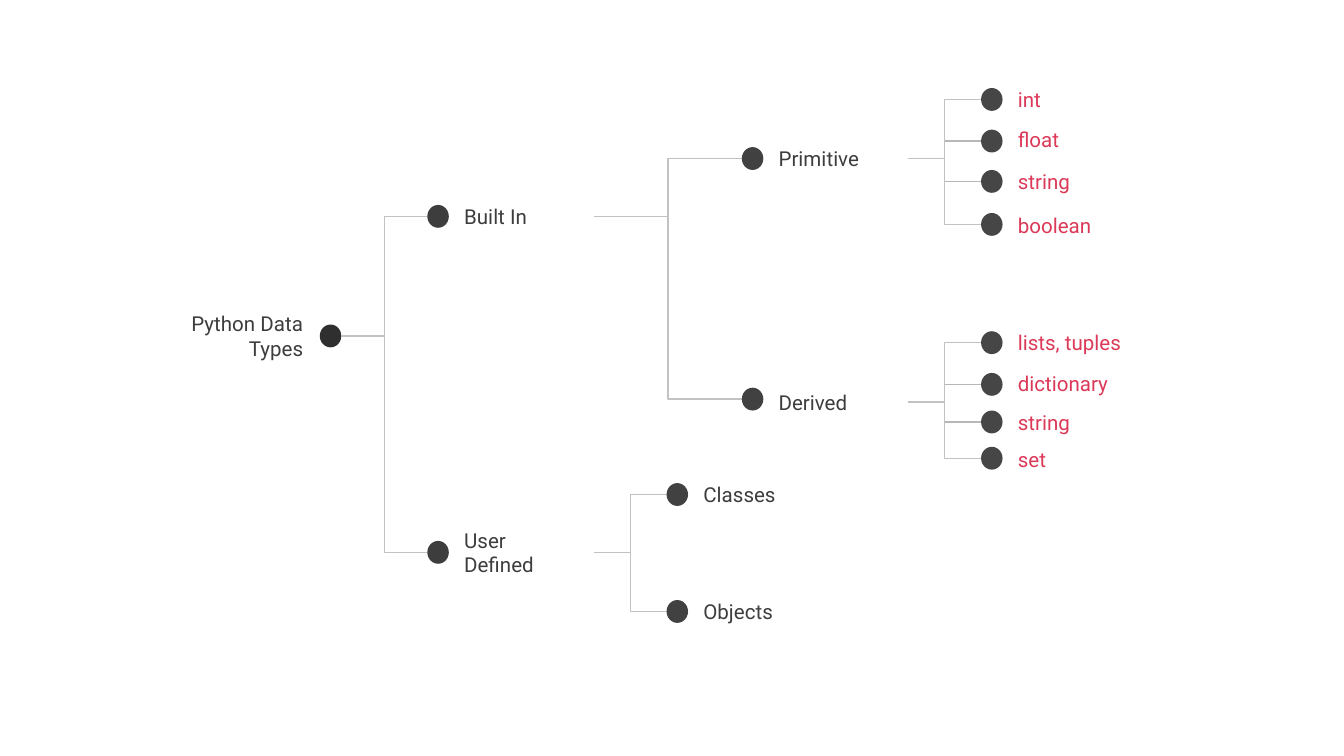
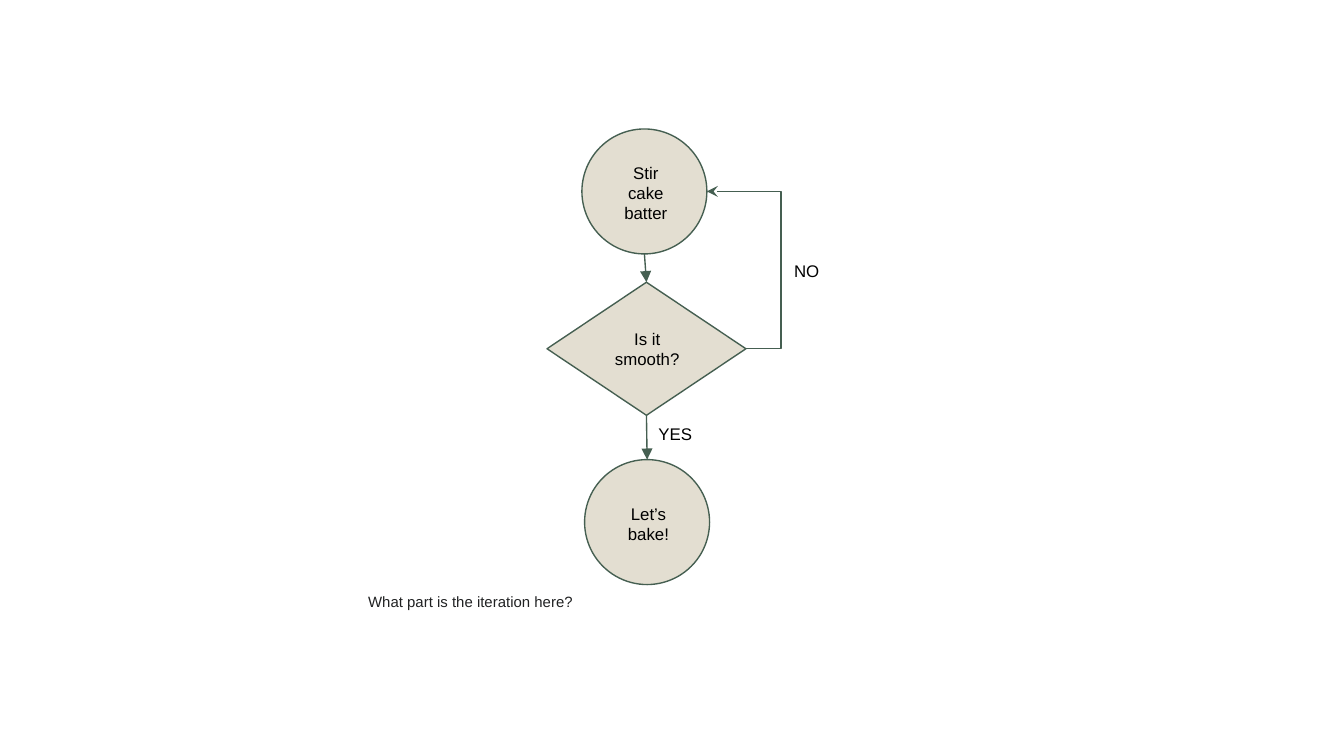
from dataclasses import dataclass, field

from lxml import etree
from pptx import Presentation
from pptx.dml.color import RGBColor
from pptx.enum.shapes import MSO_CONNECTOR, MSO_SHAPE
from pptx.enum.text import MSO_ANCHOR, PP_ALIGN
from pptx.oxml.ns import qn
from pptx.util import Inches, Pt

STRAIGHT, ELBOW = MSO_CONNECTOR.STRAIGHT, MSO_CONNECTOR.ELBOW
OVAL, DECISION = MSO_SHAPE.OVAL, MSO_SHAPE.FLOWCHART_DECISION
ROUNDED = MSO_SHAPE.ROUNDED_RECTANGLE
LEFT, CENTER, RIGHT = PP_ALIGN.LEFT, PP_ALIGN.CENTER, PP_ALIGN.RIGHT
TOP, MIDDLE = MSO_ANCHOR.TOP, MSO_ANCHOR.MIDDLE
TOP_SITE, BOTTOM_SITE = 0, 2
BLANK_LAYOUT = 6


@dataclass(frozen=True)
class Theme:
    tree_font: str = "Roboto"
    flow_font: str = "Arial"
    tree_size: float = 11
    flow_size: float = 9
    question_size: float = 8
    label: str = "3D3D3D"
    leaf_label: str = "DC3958"
    dots: tuple = ("2F2F2F", "3D3D3D", "414141", "464646")
    elbow: str = "C2C2C2"
    twig: str = "B7B7B7"
    flow_fill: str = "E3DED1"
    flow_line: str = "455F51"
    flow_text: str = "000000"
    question: str = "202122"
    line_width: float = 0.75
    inset: float = 0.1


THEME = Theme()


@dataclass
class Node:
    text: str
    x: float  # left edge of the dot
    y: float  # middle of the dot
    children: list = field(default_factory=list)
    label_drop: float = 0  # how far the label sits below the dot's middle


LEAF_X = 6.01
DATA_TYPES = Node("Python Data Types", 1.09, 1.91, [
    Node("Built In", 1.89, 1.02, [
        Node("Primitive", 4.23, 0.59, [
            Node("int", LEAF_X, 0.15),
            Node("float", LEAF_X, 0.46, label_drop=-0.01),
            Node("string", LEAF_X, 0.76),
            Node("boolean", LEAF_X, 1.08, label_drop=0.01),
        ]),
        Node("Derived", 4.23, 2.38, [
            Node("lists, tuples", LEAF_X, 1.96),
            Node("dictionary", LEAF_X, 2.27, label_drop=-0.01),
            Node("string", LEAF_X, 2.55),
            Node("set", LEAF_X, 2.82, label_drop=0.01),
        ], label_drop=0.02),
    ]),
    Node("User Defined", 1.89, 3.52, [
        Node("Classes", 3.67, 3.09),
        Node("Objects", 3.67, 3.96),
    ]),
])
DOT_WIDTH, DOT_HEIGHT = 0.16, 0.17
LABEL_WIDTH, LABEL_HEIGHT = 1.08, 0.3


# Shared parts
def write_text(shape, text, font, size, color, align=LEFT, anchor=MIDDLE):
    frame = shape.text_frame
    frame.text = text
    frame.word_wrap = True
    frame.vertical_anchor = anchor
    frame.margin_left = frame.margin_right = Inches(THEME.inset)
    frame.margin_top = frame.margin_bottom = Inches(THEME.inset)
    paragraph = frame.paragraphs[0]
    paragraph.alignment = align
    run_font = paragraph.runs[0].font
    run_font.name = font
    run_font.size = Pt(size)
    run_font.color.rgb = RGBColor.from_string(color)


def add_shape(slide, kind, left, top, width, height, fill=None, line=None):
    shape = slide.shapes.add_shape(
        kind, Inches(left), Inches(top), Inches(width), Inches(height))
    shape.shadow.inherit = False
    if fill:
        shape.fill.solid()
        shape.fill.fore_color.rgb = RGBColor.from_string(fill)
    else:
        shape.fill.background()
    if line:
        shape.line.color.rgb = RGBColor.from_string(line)
        shape.line.width = Pt(THEME.line_width)
    else:
        shape.line.fill.background()
    return shape


def add_line(slide, kind, start, end, color, arrow=None):
    connector = slide.shapes.add_connector(
        kind, *(Inches(value) for value in (*start, *end)))
    connector.line.color.rgb = RGBColor.from_string(color)
    connector.line.width = Pt(THEME.line_width)
    if arrow:
        line_xml = connector.line._get_or_add_ln()
        etree.SubElement(line_xml, qn("a:tailEnd"), type=arrow)
    etree.SubElement(connector._element.spPr, qn("a:effectLst"))
    return connector


# Tree of data types
def add_node(slide, node, left, top, level=0):
    dot_left, middle = left + node.x, top + node.y
    dot_right = dot_left + DOT_WIDTH
    label_middle = middle + node.label_drop
    is_root = level == 0
    label_left = dot_left - LABEL_WIDTH - 0.01 if is_root else dot_right

    add_shape(slide, OVAL, dot_left, middle - DOT_HEIGHT / 2,
              DOT_WIDTH, DOT_HEIGHT, fill=THEME.dots[level])
    label = add_shape(slide, ROUNDED, label_left,
                      label_middle - LABEL_HEIGHT / 2,
                      LABEL_WIDTH, LABEL_HEIGHT)
    write_text(label, node.text, THEME.tree_font, THEME.tree_size,
               THEME.leaf_label if node.x == LEAF_X else THEME.label,
               RIGHT if is_root else LEFT)

    # Outer children hang on elbows, the inner ones on straight twigs
    exit_x = dot_right if is_root else label_left + LABEL_WIDTH
    for child in node.children:
        child_end = (left + child.x, top + child.y)
        if child in (node.children[0], node.children[-1]):
            add_line(slide, ELBOW, (exit_x, label_middle), child_end,
                     THEME.elbow)
        else:
            trunk_x = (exit_x + child_end[0]) / 2
            add_line(slide, STRAIGHT, (trunk_x, child_end[1]), child_end,
                     THEME.twig)
        add_node(slide, child, left, top, level + 1)


# Flow chart of the baking loop
def add_note(slide, left, top, width, height, text, size=THEME.flow_size,
             color=THEME.flow_text, align=LEFT, anchor=MIDDLE):
    note = slide.shapes.add_textbox(
        Inches(left), Inches(top), Inches(width), Inches(height))
    write_text(note, text, THEME.flow_font, size, color, align, anchor)


def add_step(slide, kind, left, top, width, height):
    return add_shape(slide, kind, left, top, width, height,
                     THEME.flow_fill, THEME.flow_line)


def add_loop_back(slide, start, end, bend_x):
    loop = add_line(slide, ELBOW, start, end, THEME.flow_line, "stealth")
    bend = (bend_x - start[0]) / (end[0] - start[0])
    guides = loop._element.spPr.find(qn("a:prstGeom")).get_or_add_avLst()
    etree.SubElement(guides, qn("a:gd"), name="adj1",
                     fmla=f"val {round(bend * 100000)}")


def add_baking_flow(slide, left, top):
    circle, width, height = 0.93, 1.48, 0.99
    stir_left, check_top, bake_left, bake_top = 0.26, 1.14, 0.28, 2.46
    check_middle = top + check_top + height / 2

    # Steps
    add_step(slide, OVAL, left + stir_left, top, circle, circle)
    check = add_step(slide, DECISION, left, top + check_top, width, height)
    bake = add_step(slide, OVAL, left + bake_left, top + bake_top,
                    circle, circle)

    # Captions of the steps: left, top, width, text
    for caption_left, caption_top, caption_width, text in (
            (0.45, 0.2, 0.57, "Stir cake batter"),
            (0.37, 1.36, 0.75, "Is it smooth?"),
            (0.47, 2.66, 0.57, "Let’s bake!")):
        add_note(slide, left + caption_left, top + caption_top,
                 caption_width, 0.55, text, align=CENTER)

    # Arrows
    check_center = left + width / 2
    stir_center = left + stir_left + circle / 2
    stir_to_check = add_line(
        slide, STRAIGHT, (stir_center, top + circle),
        (check_center, top + check_top), THEME.flow_line, "triangle")
    stir_to_check.end_connect(check, TOP_SITE)
    check_to_bake = add_line(
        slide, STRAIGHT, (check_center, top + check_top + height),
        (left + bake_left + circle / 2, top + bake_top),
        THEME.flow_line, "triangle")
    check_to_bake.begin_connect(check, BOTTOM_SITE)
    check_to_bake.end_connect(bake, TOP_SITE)
    add_loop_back(slide, (left + width, check_middle),
                  (left + stir_left + circle, top + circle / 2), left + 1.74)

    # Answers
    add_note(slide, left + 0.73, top + 2.16, 0.75, 0.21, "YES")
    add_note(slide, left + 1.74, top + 0.78, 0.75, 0.55, "NO")


def main():
    presentation = Presentation()
    presentation.slide_width = Inches(10)
    presentation.slide_height = presentation.slide_width * 9 // 16
    blank = presentation.slide_layouts[BLANK_LAYOUT]

    tree_slide = presentation.slides.add_slide(blank)
    add_node(tree_slide, DATA_TYPES, left=1.29, top=0.59)

    flow_slide = presentation.slides.add_slide(blank)
    add_baking_flow(flow_slide, left=4.07, top=0.96)
    add_note(flow_slide, 2.64, 4.34, 3.91, 0.34,
             "What part is the iteration here?", THEME.question_size,
             THEME.question, anchor=TOP)

    presentation.save("out.pptx")


if __name__ == "__main__":
    main()
